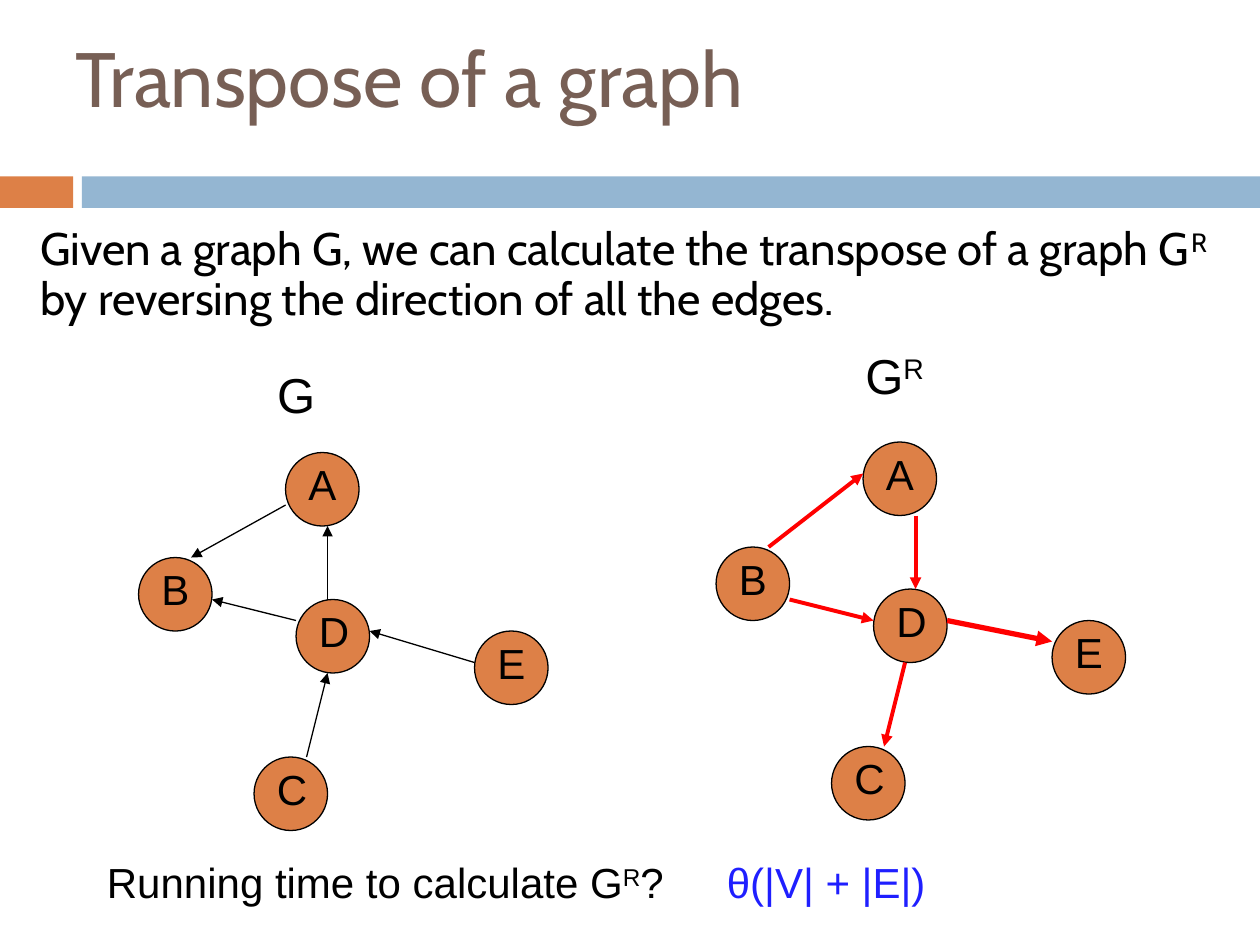
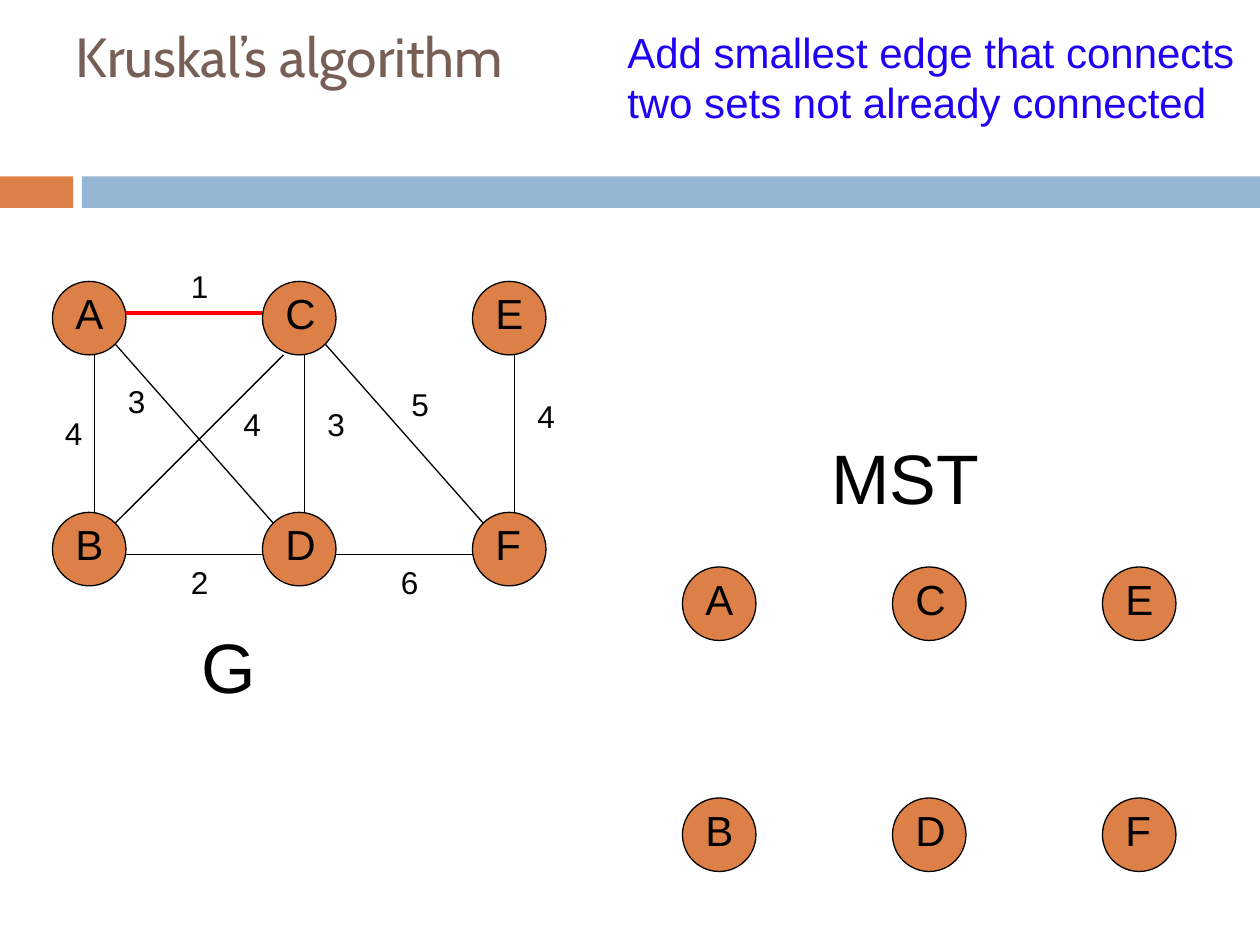
from dataclasses import dataclass

from lxml import etree
from pptx import Presentation
from pptx import util as u
from pptx.dml.color import RGBColor
from pptx.enum import shapes, text
from pptx.oxml import ns

UNIT = 1 / 12   # grid step in inches: the slide is 120 columns by 90 rows
NODE = 7        # node diameter in grid steps


@dataclass(frozen=True)
class Theme:
    head: str = "Cabin"
    body: str = "Arial"
    brown: str = "775F55"
    orange: str = "DD8047"
    pale: str = "94B6D2"
    black: str = "000000"
    red: str = "FF0000"
    blue: str = "1F1FFF"
    violet: str = "1F02F6"
    title: float = 44
    small: float = 31.5
    lead: float = 26
    big: float = 40
    name: float = 28
    text: float = 24
    weight: float = 18
    thin: float = 0.75
    bold: float = 2.25
    heavy: float = 3


T = Theme()

# Node places, relative to the corner of each graph
WEB = {"A": (14, 0), "B": (0, 10), "C": (11, 29), "E": (32, 17), "D": (15, 14)}
GRID = {ch: (20 * (i // 2), 22 * (i % 2)) for i, ch in enumerate("ABCDEF")}

# Edges: start, end, and for the transpose a line width
EDGES = [((14, 5), (5, 10)), ((18, 14), (18, 7)), ((15, 16), (7, 14)),
         ((16, 29), (18, 21)), ((32, 20), (22, 17))]
TURNED = [((5, 10), (14, 3), T.bold), ((7, 15), (15, 17), T.bold),
          ((19, 7), (19, 14), T.bold), ((18, 21), (16, 29), T.bold),
          ((22, 17), (32, 19), T.heavy)]

# Weighted edges: start, end, weight, place of the weight
COSTS = [((7, 26), (20, 26), 2, (12, 26.2)), ((24, 22), (24, 7), 3, (25, 11.2)),
         ((4, 22), (4, 7), 4, (0, 12)), ((7, 3), (20, 3), 1, (12, -2)),
         ((6, 6), (21, 23), 3, (6, 9)), ((27, 26), (40, 26), 6, (32, 26.2)),
         ((44, 22), (44, 7), 4, (45, 10.4)), ((26, 6), (41, 23), 5, (33, 9.3)),
         ((6, 23), (22, 7), 4, (17, 11.2))]


def inch(*vals):
    return [u.Inches(v) for v in vals]


def cells(*vals):
    return inch(*(v * UNIT for v in vals))


def shift(home, spot):
    return home[0] + spot[0], home[1] + spot[1]


def apply(item, form):
    for key, val in form.items():
        setattr(item, key, val)


def write(frame, words, size, color=T.black, font=T.body, **form):
    """Fill one paragraph; parts between ^ marks are superscript."""
    para = frame.paragraphs[0]
    apply(para, form)
    for i, part in enumerate(words.split("^")):
        run = para.add_run()
        run.text = part
        apply(run.font, {"size": u.Pt(size), "name": font})
        run.font.color.rgb = RGBColor.from_string(color)
        if i % 2:
            run.font._element.set("baseline", "30000")


def label(into, box, words, size, **form):
    frame = into.add_textbox(*box).text_frame
    apply(frame, {"word_wrap": True,
                  "auto_size": text.MSO_AUTO_SIZE.SHAPE_TO_FIT_TEXT})
    write(frame, words, size, **form)


def solid(into, kind, box, fill, line=None):
    shape = into.add_shape(kind, *box)
    shape.shadow.inherit = False
    shape.fill.solid()
    shape.fill.fore_color.rgb = RGBColor.from_string(fill)
    if line:
        shape.line.color.rgb = RGBColor.from_string(line)
        shape.line.width = u.Pt(T.thin)
    else:
        shape.line.fill.background()


def nodes(slide, home, spots):
    for name, spot in spots.items():
        x, y = shift(home, spot)
        group = slide.shapes.add_group_shape().shapes
        solid(group, shapes.MSO_SHAPE.OVAL, cells(x, y, NODE, NODE),
              T.orange, T.black)
        label(group, cells(x + 1, y, 6, 6), name, T.text)


def edge(slide, home, start, end, color=T.black, width=T.thin, arrow=False):
    link = slide.shapes.add_connector(
        shapes.MSO_CONNECTOR.STRAIGHT,
        *cells(*shift(home, start), *shift(home, end)))
    link.line.color.rgb = RGBColor.from_string(color)
    link.line.width = u.Pt(width)
    if arrow:
        tail = etree.SubElement(link.line._get_or_add_ln(), ns.qn("a:tailEnd"))
        tail.set("type", "triangle")
    etree.SubElement(link._element.spPr, ns.qn("a:effectLst"))


def page(deck, words, size, high):
    """Start a slide with the two bands and its title."""
    slide = deck.slides.add_slide(deck.slide_layouts[5])
    for left, wide, fill in ((0, 0.58, T.orange), (0.65, 9.35, T.pale)):
        solid(slide.shapes, shapes.MSO_SHAPE.RECTANGLE,
              inch(left, 1.4, wide, 0.25), fill)
    title = slide.shapes.title
    apply(title, dict(zip(("left", "top", "width", "height"),
                          inch(0.5, 0.13, 8.25, high))))
    apply(title.text_frame, {"vertical_anchor": text.MSO_ANCHOR.MIDDLE,
                             "auto_size": text.MSO_AUTO_SIZE.NONE})
    write(title.text_frame, words, size, T.brown, T.head,
          alignment=text.PP_ALIGN.LEFT)
    return slide


def flip(deck):
    slide = page(deck, "Transpose of a graph", T.title, 0.95)
    put = slide.shapes
    label(put, inch(0.22, 1.75, 9.56, 1.06),
          "Given a graph G, we can calculate the transpose of a graph G^R^"
          " by reversing the direction of all the edges.",
          T.lead, font=T.head, line_spacing=0.9, space_before=u.Pt(7))

    # Graph and its transpose
    home, twin = (13.2, 43.1), (68.2, 42.1)
    nodes(slide, home, WEB)
    for start, end in EDGES:
        edge(slide, home, start, end, arrow=True)
    nodes(slide, twin, WEB)
    for start, end, width in TURNED:
        edge(slide, twin, start, end, T.red, width, arrow=True)

    # Names and running time
    label(put, inch(2.1, 2.84, 1.08, 0.57), "G", T.name)
    label(put, inch(6.77, 2.69, 1.08, 0.57), "G^R", T.name)
    label(put, inch(0.75, 6.75, 4.92, 0.5),
          "Running time to calculate G^R^?", T.text)
    label(put, inch(5.67, 6.75, 1.92, 0.5), "θ(|V| + |E|)", T.text,
          color=T.blue)


def span(deck):
    slide = page(deck, "Kruskal’s algorithm", T.small, 0.62)
    put = slide.shapes

    # Weighted graph; the cheapest edge is marked
    home = (5, 26.8)
    nodes(slide, home, GRID)
    least = min(cost for _, _, cost, _ in COSTS)
    for start, end, cost, spot in COSTS:
        mark = (T.red, T.bold) if cost == least else ()
        edge(slide, home, start, end, *mark)
        label(put, cells(*shift(home, spot), NODE, 4.8), str(cost), T.weight)
    label(put, inch(1.5, 4.9, 0.83, 0.77), "G", T.big)

    # Spanning tree, still without edges
    label(put, inch(6.5, 3.4, 2.08, 0.77), "MST", T.big)
    nodes(slide, (65, 54), GRID)
    label(put, inch(4.88, 0.16, 5.08, 0.9),
          "Add smallest edge that connects two sets not already connected",
          T.text, color=T.violet)


def main():
    deck = Presentation()
    deck.slide_width, deck.slide_height = cells(120, 90)
    flip(deck)
    span(deck)
    deck.save("out.pptx")


if __name__ == "__main__":
    main()
